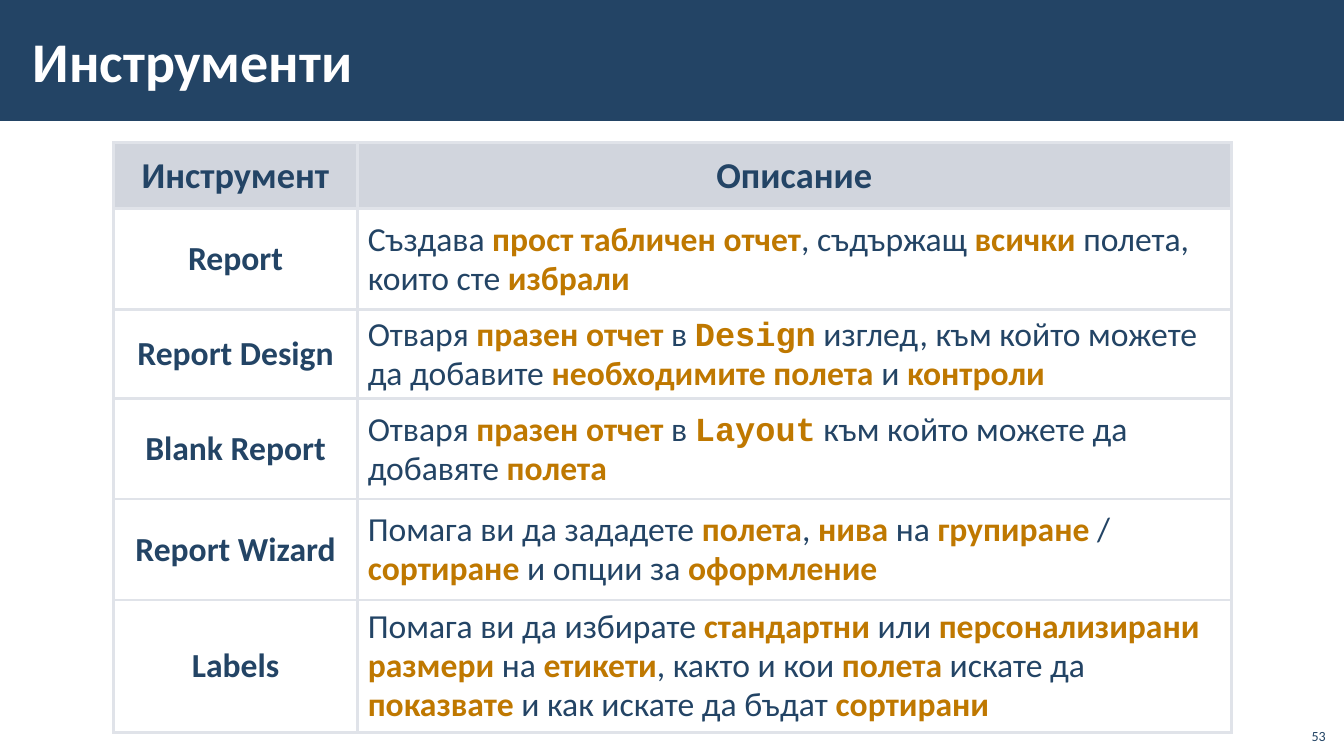
from lxml.etree import SubElement as Sub
from pptx import Presentation
from pptx.dml.color import RGBColor as RGB
from pptx.enum.shapes import MSO_SHAPE as Shape
from pptx.enum.text import MSO_ANCHOR as Anchor, MSO_AUTO_SIZE as Auto, PP_ALIGN as Align
from pptx.oxml.ns import qn
from pptx.util import Pt

COLORS = {"navy": "234465", "gold": "BF7800", "head": "D1D5DD",
          "rule": "E0E3E9", "white": "FFFFFF"}
COLS = (174.5, 624)
HEIGHTS = (47, 72, 63, 72, 72, 94.5)
# In descriptions, *...* marks a key term and *`...* a term set as code.
ROWS = (
    ("Инструмент", "Описание"),
    ("Report", "Създава *прост табличен отчет*, съдържащ *всички* полета, "
               "които сте *избрали*"),
    ("Report Design", "Отваря *празен отчет* в *`Design* изглед, към който можете "
                      "да добавите *необходимите полета* и *контроли*"),
    ("Blank Report", "Отваря *празен отчет* в *`Layout* към който можете да "
                     "добавяте *полета*"),
    ("Report Wizard", "Помага ви да зададете *полета*, *нива* на *групиране* / "
                      "*сортиране* и опции за *оформление*"),
    ("Labels", "Помага ви да избирате *стандартни* или *персонализирани размери* "
               "на *етикети*, както и кои *полета* искате да *показвате* и как "
               "искате да бъдат *сортирани*"),
)


def color(name):
    return RGB.from_string(COLORS[name])


def style(font, size, tint="navy", bold=False):
    font.name = "Calibri"
    font.size = Pt(size)
    font.bold = bold
    font.color.rgb = color(tint)


def add_bar(slide):
    bar = slide.shapes.add_shape(Shape.RECTANGLE, 0, 0, Pt(960), Pt(86.4))
    bar.shadow.inherit = False
    bar.fill.solid()
    bar.fill.fore_color.rgb = color("navy")
    bar.line.fill.background()
    slide.shapes.title.element.addprevious(bar.element)


def set_title(slide, text):
    title = slide.shapes.title
    title.left, title.top, title.width, title.height = Pt(15), Pt(8), Pt(809), Pt(70)
    frame = title.text_frame
    frame.text = text
    frame.auto_size = Auto.NONE
    frame.vertical_anchor = Anchor.MIDDLE
    frame.margin_left = frame.margin_right = Pt(8.5)
    frame.margin_top = frame.margin_bottom = Pt(3)
    par = frame.paragraphs[0]
    par.alignment = Align.LEFT
    style(par.font, 40, "white", True)


def add_border(cell):
    props = cell._tc.get_or_add_tcPr()
    for side in ("lnL", "lnR", "lnT", "lnB"):
        line = Sub(props, qn(f"a:{side}"), w=str(Pt(2.25)))
        Sub(Sub(line, qn("a:solidFill")), qn("a:srgbClr"), val=COLORS["rule"])


def add_runs(par, text):
    """Add plain runs and gold key terms by turns."""
    for i, part in enumerate(text.split("*")):
        if not part:
            continue
        run = par.add_run()
        run.text = part.lstrip("`")
        if i % 2:
            run.font.bold = True
            run.font.color.rgb = color("gold")
        if part.startswith("`"):
            run.font.name = "Courier New"


def fill_cell(cell, text, head, label):
    add_border(cell)
    if head:
        cell.fill.solid()
        cell.fill.fore_color.rgb = color("head")
    else:
        cell.fill.background()
    cell.vertical_anchor = Anchor.MIDDLE
    par = cell.text_frame.paragraphs[0]
    par.alignment = Align.CENTER if head or label else Align.LEFT
    par.line_spacing = 0.95
    style(par.font, 26 if head else 24, bold=head or label)
    add_runs(par, text)


def add_grid(slide):
    grid = slide.shapes.add_table(len(ROWS), len(COLS), Pt(81), Pt(102),
                                  Pt(sum(COLS)), Pt(sum(HEIGHTS))).table
    grid.first_row = grid.horz_banding = False
    for col, width in zip(grid.columns, COLS):
        col.width = Pt(width)
    for r, (row, height) in enumerate(zip(grid.rows, HEIGHTS)):
        row.height = Pt(height)
        for c, text in enumerate(ROWS[r]):
            fill_cell(grid.cell(r, c), text, r == 0, c == 0)


def add_number(slide, text):
    box = slide.shapes.add_textbox(Pt(925), Pt(512.5), Pt(29), Pt(23))
    frame = box.text_frame
    frame.word_wrap = True
    frame.vertical_anchor = Anchor.BOTTOM
    par = frame.paragraphs[0]
    par.text = text
    par.alignment = Align.RIGHT
    style(par.font, 10)


def main():
    deck = Presentation()
    deck.slide_width, deck.slide_height = Pt(960), Pt(540)
    slide = deck.slides.add_slide(deck.slide_layouts.get_by_name("Title Only"))
    add_bar(slide)
    set_title(slide, "Инструменти")
    add_grid(slide)
    add_number(slide, "53")
    deck.save("out.pptx")


if __name__ == "__main__":
    main()
